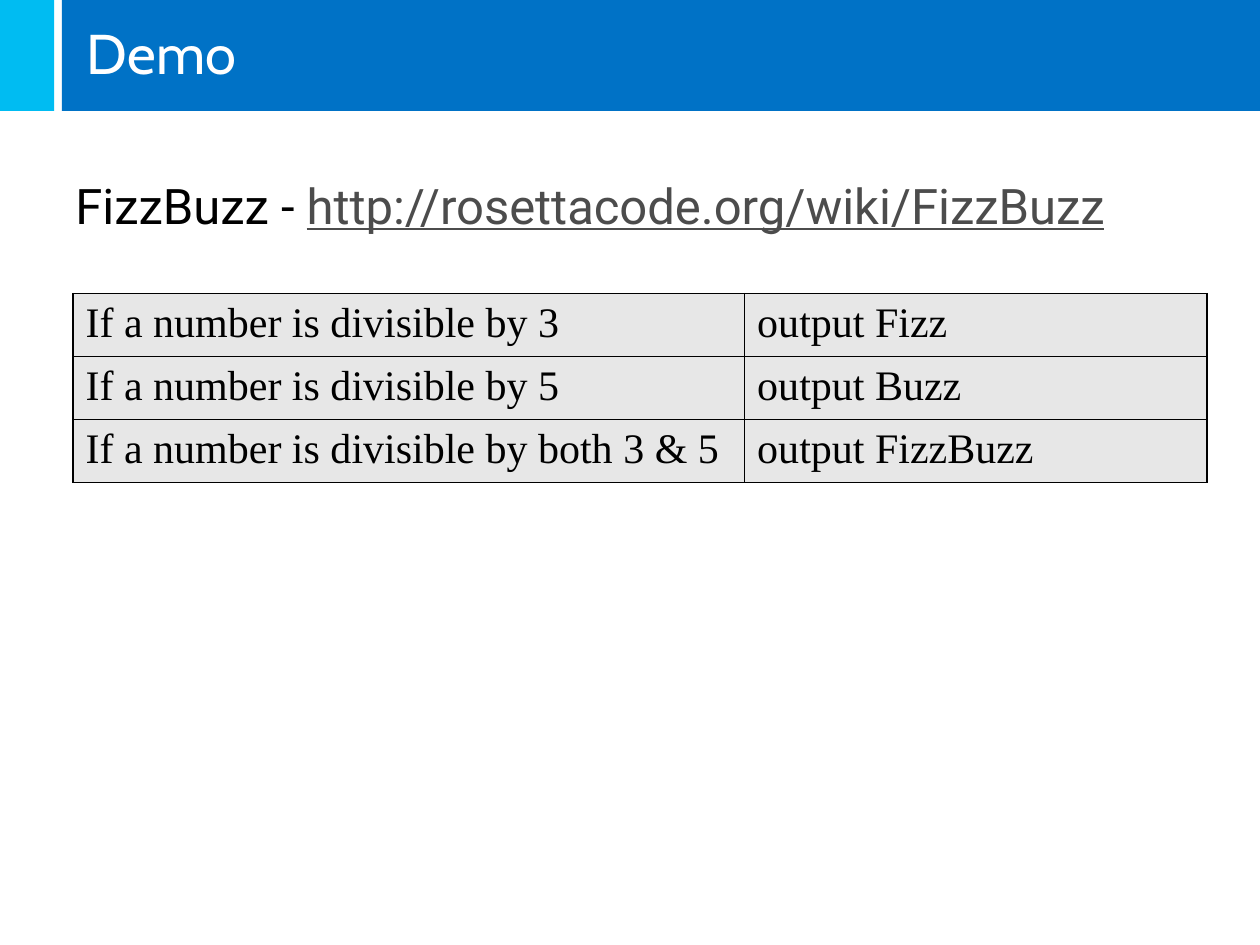
import pptx
import pptx.dml.color
import pptx.enum.shapes
import pptx.enum.text
import pptx.oxml
import pptx.oxml.ns
import pptx.util
from pptx.util import Inches

# Colours, fonts and type sizes
THEME = {
    "blue": "0072C6",
    "cyan": "00BCF2",
    "grey": "E7E7E7",
    "line": "000000",
    "title": {"name": "Cabin", "size": 32, "color": "FFFFFF"},
    "body": {"name": "Roboto", "size": 28, "color": "000000"},
    "link": {"name": "Roboto", "size": 28, "color": "4C4C4C", "underline": True},
    "cell": {"name": "Times New Roman", "size": 24, "color": "000000", "bold": False},
}


def paint(fill, color):
    fill.solid()
    fill.fore_color.rgb = pptx.dml.color.RGBColor.from_string(color)


class Deck:
    def __init__(self, theme):
        self.theme = theme
        self.show = pptx.Presentation()
        self.show.slide_width = Inches(10)
        self.show.slide_height = Inches(7.5)
        self.slide = self.show.slides.add_slide(self.show.slide_layouts[6])

    def bar(self, box, color):
        kind = pptx.enum.shapes.MSO_SHAPE.RECTANGLE
        shape = self.slide.shapes.add_shape(kind, *map(Inches, box))
        shape.shadow.inherit = False
        shape.line.fill.background()
        paint(shape.fill, self.theme[color])

    def run(self, para, text, style):
        run = para.add_run()
        run.text = text
        for key, value in self.theme[style].items():
            if key == "color":
                run.font.color.rgb = pptx.dml.color.RGBColor.from_string(value)
            elif key == "size":
                run.font.size = pptx.util.Pt(value)
            else:
                setattr(run.font, key, value)

    def text(self, box, parts, form):
        frame = self.slide.shapes.add_textbox(*map(Inches, box)).text_frame
        for key, value in {"word_wrap": True, **form}.items():
            setattr(frame, key, value)
        for text, style in parts:
            self.run(frame.paragraphs[0], text, style)

    def edge(self, cell):
        props = cell._tc.get_or_add_tcPr()
        space = pptx.oxml.ns.nsdecls("a")
        for spot, side in enumerate("LRTB"):
            props.insert(spot, pptx.oxml.parse_xml(
                f'<a:ln{side} {space} w="12700"><a:solidFill>'
                f'<a:srgbClr val="{self.theme["line"]}"/>'
                f'</a:solidFill></a:ln{side}>'))

    def table(self, left, top, widths, height, rows):
        size = (left, top, sum(widths), height * len(rows))
        table = self.slide.shapes.add_table(
            len(rows), len(widths), *map(Inches, size)).table
        for col, width in zip(table.columns, widths):
            col.width = Inches(width)
        for line, texts in zip(table.rows, rows):
            line.height = Inches(height)
            for cell, text in zip(line.cells, texts):
                paint(cell.fill, self.theme["grey"])
                self.edge(cell)
                self.run(cell.text_frame.paragraphs[0], text, "cell")


def main():
    deck = Deck(THEME)

    # Header
    head = (0.49, 0, 9.51, 0.88)
    deck.bar(head, "blue")
    deck.bar((0, 0, 0.43, 0.88), "cyan")
    deck.text(head, [("Demo", "title")], {
        "vertical_anchor": pptx.enum.text.MSO_ANCHOR.MIDDLE,
        "margin_left": Inches(0.2), "margin_right": Inches(0.2),
        "margin_top": 0, "margin_bottom": Inches(0.05)})

    # Task and its address
    deck.text((0.5, 1.34, 9, 1.33), [
        ("FizzBuzz - ", "body"),
        ("http://rosettacode.org/wiki/FizzBuzz", "link")], {})

    # Rules
    rules = [("3", "Fizz"), ("5", "Buzz"), ("both 3 & 5", "FizzBuzz")]
    deck.table(0.58, 2.33, (5.33, 3.67), 0.47, [
        (f"If a number is divisible by {number}", f"output {word}")
        for number, word in rules])

    deck.show.save("out.pptx")


if __name__ == "__main__":
    main()
